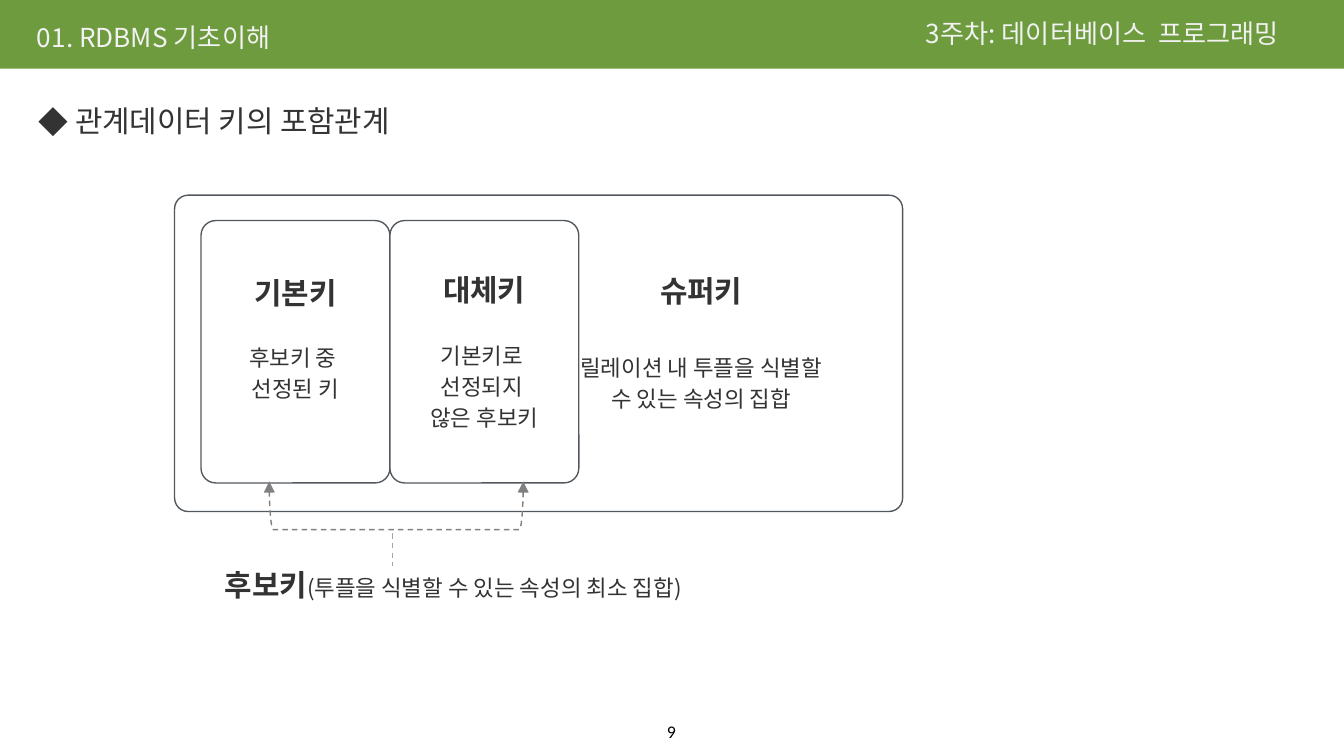
from lxml.etree import SubElement
from pptx import Presentation
from pptx.dml.color import RGBColor
from pptx.enum.dml import MSO_LINE
from pptx.enum.shapes import MSO_CONNECTOR, MSO_SHAPE
from pptx.enum.text import MSO_ANCHOR, PP_ALIGN
from pptx.oxml.ns import qn
from pptx.util import Cm, Pt

GREEN = RGBColor(0x6D, 0x9B, 0x3E)
WHITE = RGBColor(0xFF, 0xFF, 0xFF)
PALE = RGBColor(0xF2, 0xF2, 0xF2)
INK = RGBColor(0x33, 0x33, 0x33)
BLACK = RGBColor(0, 0, 0)
OUTLINE = RGBColor(0x53, 0x58, 0x5F)
BRACKET = RGBColor(0x80, 0x80, 0x80)
STEM = RGBColor(0xA6, 0xA6, 0xA6)
FONT = "Noto Sans CJK KR"


def add_span(para, text, size=12, bold=False, color=INK, font=FONT):
    span = para.add_run()
    span.text = text
    span.font.size = Pt(size)
    span.font.bold = bold
    span.font.color.rgb = color
    span.font.name = font
    properties = span.font._element
    SubElement(properties, qn("a:ea")).set("typeface", font)


class KeyPage:
    def __init__(self, deck):
        self.page = deck.slides.add_slide(deck.slide_layouts[6])
        self.shapes = self.page.shapes

    def bar(self, width, height):
        bar = self.shapes.add_shape(MSO_SHAPE.RECTANGLE, 0, 0, Cm(width), Cm(height))
        bar.shadow.inherit = False
        bar.fill.solid()
        bar.fill.fore_color.rgb = GREEN
        bar.line.fill.background()

    def label(self, left, top, width, spans, pitch=20, align=PP_ALIGN.LEFT, bullet=None):
        box = self.shapes.add_textbox(Cm(left), Cm(top), Cm(width), Cm(0.8))
        frame = box.text_frame
        frame.word_wrap = True
        frame.margin_left = frame.margin_right = 0
        frame.margin_top = frame.margin_bottom = 0
        para = frame.paragraphs[0]
        para.alignment = align
        para.line_spacing = Pt(pitch)
        if bullet:
            properties = para._p.get_or_add_pPr()
            properties.set("marL", str(Cm(0.7)))
            properties.set("indent", str(-Cm(0.7)))
            SubElement(properties, qn("a:buFont")).set("typeface", FONT)
            SubElement(properties, qn("a:buChar")).set("char", bullet)
        for text, style in spans:
            add_span(para, text, **style)

    def key_box(self, left, top, width, height, radius, title, lines, inset, gap=16, indent=0.25):
        box = self.shapes.add_shape(
            MSO_SHAPE.ROUNDED_RECTANGLE, Cm(left), Cm(top), Cm(width), Cm(height))
        box.adjustments[0] = radius
        box.shadow.inherit = False
        box.fill.solid()
        box.fill.fore_color.rgb = WHITE
        box.line.color.rgb = OUTLINE
        box.line.width = Pt(0.75)
        frame = box.text_frame
        frame.word_wrap = True
        frame.vertical_anchor = MSO_ANCHOR.TOP
        frame.margin_top = Cm(inset)
        frame.margin_left = Cm(indent)
        para = frame.paragraphs[0]
        para.alignment = PP_ALIGN.CENTER
        para.line_spacing = Pt(20)
        add_span(para, title, size=16, bold=True)
        for index, line in enumerate(lines):
            para = frame.add_paragraph()
            para.alignment = PP_ALIGN.CENTER
            para.line_spacing = Pt(16.6)
            para.space_before = Pt(0 if index else gap)
            add_span(para, line)

    def dash(self, shape, color):
        shape.line.color.rgb = color
        shape.line.width = Pt(0.75)
        shape.line.dash_style = MSO_LINE.DASH

    def bracket(self, left, top, width, height):
        bracket = self.shapes.add_shape(
            MSO_SHAPE.LEFT_BRACKET,
            Cm(left + (width - height) / 2), Cm(top + (height - width) / 2),
            Cm(height), Cm(width))
        bracket.rotation = 270
        bracket.shadow.inherit = False
        bracket.fill.background()
        self.dash(bracket, BRACKET)
        outline = bracket.line._get_or_add_ln()
        for end in ("a:headEnd", "a:tailEnd"):
            SubElement(outline, qn(end)).set("type", "triangle")

    def stem(self, x, top, bottom):
        stem = self.shapes.add_connector(
            MSO_CONNECTOR.STRAIGHT, Cm(x), Cm(top), Cm(x), Cm(bottom))
        self.dash(stem, STEM)
        SubElement(stem._element.spPr, qn("a:effectLst"))


def main():
    deck = Presentation()
    deck.slide_width, deck.slide_height = Cm(25.4), Cm(14.29)
    page = KeyPage(deck)
    header = {"size": 14, "color": PALE}
    heading = {"size": 16}
    strong = {"size": 16, "bold": True}

    page.bar(25.4, 1.3)
    page.label(0.7, 0.43, 8, [("01. RDBMS 기초이해", header)], pitch=16)
    page.label(17.5, 0.35, 7.7, [("3주차: 데이터베이스  프로그래밍", header)], pitch=16)
    page.label(0.72, 1.91, 14, [("관계데이터 키의 포함관계", heading)], bullet="◆")

    page.key_box(3.3, 3.69, 13.76, 5.98, 0.043, "슈퍼키",
                 ["릴레이션 내 투플을 식별할", "수 있는 속성의 집합"],
                 inset=1.37, gap=22, indent=6.4)
    inner_left, inner_width = 3.8, 3.57
    inner_boxes = [
        ("기본키", ["후보키 중 ", "선정된 키"], 0.91),
        ("대체키", ["기본키로 ", "선정되지 ", "않은 후보키"], 0.86),
    ]
    for index, (title, lines, inset) in enumerate(inner_boxes):
        page.key_box(inner_left + index * inner_width, 4.17, inner_width, 4.96,
                     0.078, title, lines, inset)

    page.bracket(5.09, 9.1, 4.8, 0.91)
    page.stem(7.42, 10.08, 10.69)
    page.label(4.25, 10.69, 10.2, [
        ("후보키", strong),
        ("(투플을 식별할 수 있는 속성의 최소 집합)", {}),
    ])
    page.label(12.34, 13.61, 0.7, [("9", {"size": 9.5, "color": BLACK, "font": "Calibri"})],
               pitch=12, align=PP_ALIGN.CENTER)
    deck.save("out.pptx")


if __name__ == "__main__":
    main()
